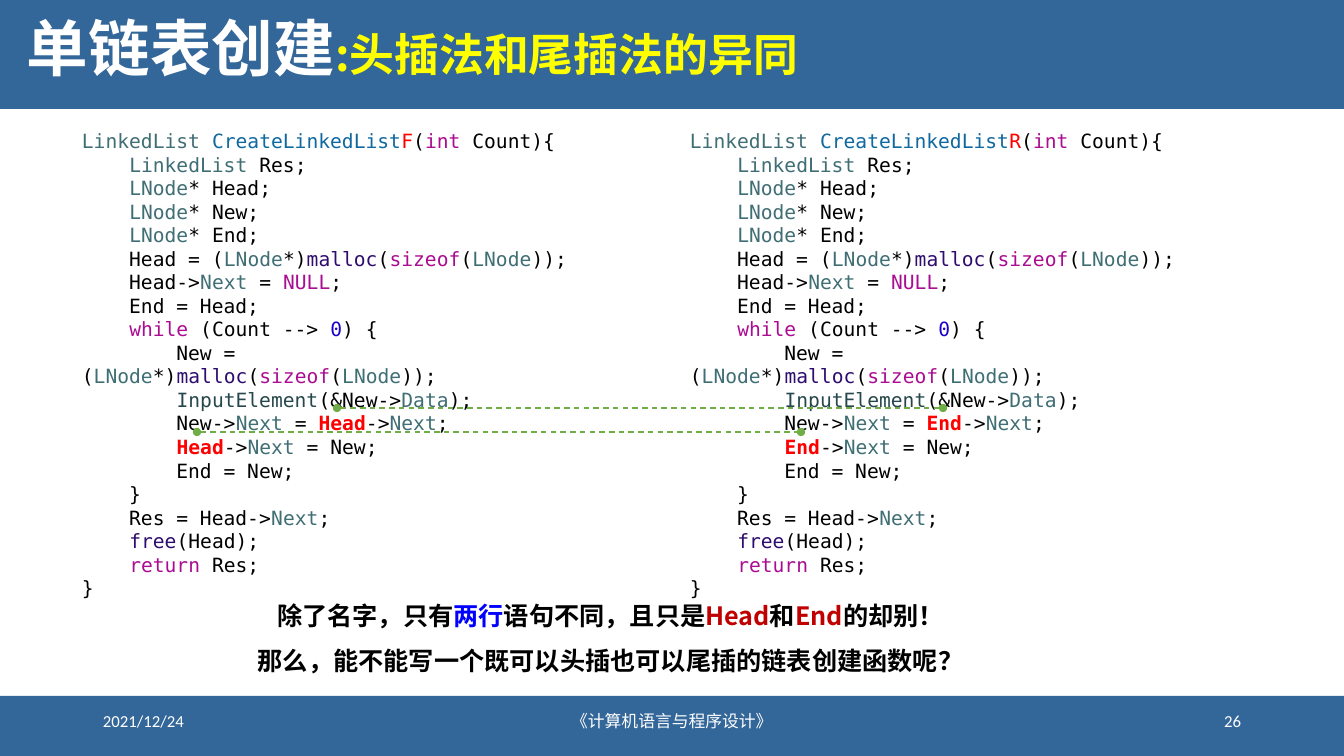
from lxml import etree
from pptx import Presentation
from pptx import util as u
from pptx.dml.color import RGBColor
from pptx.enum import dml, shapes, text
from pptx.oxml.ns import qn

PX = 914400 / 100.8
theme = {
    "band": "336699", "white": "FFFFFF", "black": "000000", "yellow": "FFFF00",
    "link": "70AD47", "type": "3F6E74", "name": "0F68A0", "key": "AA0D91",
    "call": "2E0D6E", "input": "26474B", "digit": "1C00CF", "mark": "FF0000",
    "blue": "0000FF", "wine": "C00000",
    "mono": "DejaVu Sans Mono", "cjk": "Noto Sans CJK SC", "foot": "Calibri",
    "title_pt": 44, "sub_pt": 32, "note_pt": 18, "code_pt": 14, "foot_pt": 12,
}
left, center, right = text.PP_ALIGN.LEFT, text.PP_ALIGN.CENTER, text.PP_ALIGN.RIGHT
middle = text.MSO_ANCHOR.MIDDLE

deck = Presentation()
deck.slide_width, deck.slide_height = round(1344 * PX), round(756 * PX)
slide = deck.slides.add_slide(deck.slide_layouts[6])


def place(*px):
    return [round(n * PX) for n in px]


def write(spot, lines, font, align=left, anchor=text.MSO_ANCHOR.TOP, space=None, wrap=True):
    """Add a text box; each line is a list of (words, colour, size, bold) runs."""
    frame = slide.shapes.add_textbox(*place(*spot)).text_frame
    frame.word_wrap, frame.vertical_anchor = wrap, anchor
    for i, line in enumerate(lines):
        para = frame.paragraphs[0] if i == 0 else frame.add_paragraph()
        para.alignment, para.line_spacing = align, space
        for words, color, size, bold in line:
            run = para.add_run()
            run.text = words
            run.font.size, run.font.bold = u.Pt(theme[size]), bold
            run.font.color.rgb = RGBColor.from_string(theme[color])
            run.font.name = theme[font]
            east = etree.SubElement(run.font._element, qn("a:ea"))
            east.set("typeface", theme[font])


# Bands, footer and title
for top, high in ((0, 109), (696, 60)):
    band = slide.shapes.add_shape(shapes.MSO_SHAPE.RECTANGLE, *place(0, top, 1344, high))
    band.shadow.inherit = False
    band.fill.solid()
    band.fill.fore_color.rgb = RGBColor.from_string(theme["band"])
    band.line.fill.background()

for x, wide, words, align in (
    (93, 302, "2021/12/24", left),
    (445, 454, "《计算机语言与程序设计》", center),
    (949, 302, "26", right),
):
    write((x, 701, wide, 40), [[(words, "white", "foot_pt", False)]], "foot", align, middle)

title = [("单链表创建", "white", "title_pt", True),
         (":头插法和尾插法的异同", "yellow", "sub_pt", True)]
write((17, 0, 1297, 104), [title], "cjk", anchor=middle, space=0.9)

# Code: "|" parts the runs, "#" is the name's last letter, "@" the node that differs
code = """LinkedList| |CreateLinkedList|#|(|int| Count){
    |LinkedList| Res;
    |LNode|* Head;
    |LNode|* New;
    |LNode|* End;
    Head = (|LNode|*)|malloc|(|sizeof|(|LNode|));
    Head->|Next| = |NULL|;
    End = Head;
    |while| (Count --> |0|) {
        New = (|LNode|*)|malloc|(|sizeof|(|LNode|));
        |InputElement|(&New->|Data|);
        New->|Next| = |@|->|Next|;
        |@|->|Next| = New;
        End = New;
    }
    Res = Head->|Next|;
    |free|(Head);
    |return| Res;
}"""
groups = {
    "type": ("LinkedList", "LNode", "Next", "Data"),
    "name": ("CreateLinkedList",),
    "key": ("int", "sizeof", "NULL", "while", "return"),
    "call": ("malloc", "free"),
    "input": ("InputElement",),
    "digit": ("0",),
    "mark": ("#", "@"),
}
tints = {word: tint for tint, words in groups.items() for word in words}

for x, letter, node in ((72, "F", "Head"), (680, "R", "End")):
    swap = {"#": letter, "@": node}
    lines = [
        [(swap.get(part, part), tints.get(part, "black"), "code_pt", part == "@")
         for part in line.split("|")]
        for line in code.split("\n")
    ]
    write((x, 124, 538, 462), lines, "mono")

# Links between the lines that differ
for start, end, y in ((337, 943, 408), (197, 801, 432)):
    link = slide.shapes.add_connector(shapes.MSO_CONNECTOR.STRAIGHT, *place(start, y, end, y))
    link.line.color.rgb = RGBColor.from_string(theme["link"])
    link.line.width = u.Pt(1)
    link.line.dash_style = dml.MSO_LINE.DASH
    for tag in ("a:headEnd", "a:tailEnd"):
        etree.SubElement(link.line._get_or_add_ln(), qn(tag)).set("type", "oval")
    etree.SubElement(link._element.spPr, qn("a:effectLst"))

# Closing remarks
stress = {"两行": "blue", "Head": "wine", "End": "wine"}
notes = ("除了名字，只有|两行|语句不同，且只是|Head|和|End|的却别！",
         "那么，能不能写一个既可以头插也可以尾插的链表创建函数呢？")
lines = [[(part, stress.get(part, "black"), "note_pt", True) for part in note.split("|")]
         for note in notes]
write((244, 580, 733, 97), lines, "cjk", center, space=1.5, wrap=False)

deck.save("out.pptx")
